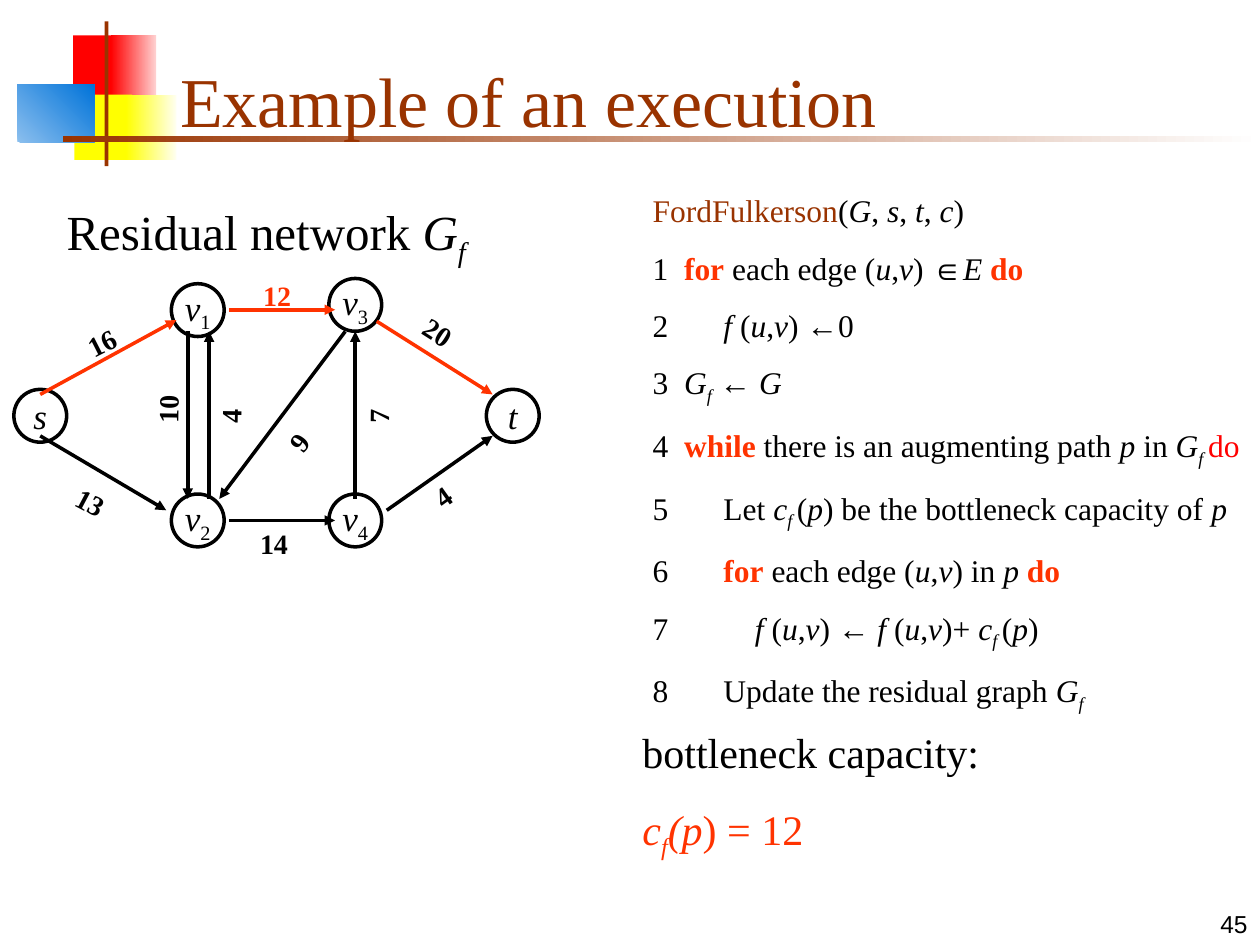
import pptx
import pptx.dml.color
import pptx.enum.shapes
import pptx.enum.text
import pptx.oxml
import pptx.oxml.ns
import pptx.util

Pt = pptx.util.Pt
SHAPE = pptx.enum.shapes.MSO_SHAPE
ALIGN = pptx.enum.text.PP_ALIGN
ANCHOR = pptx.enum.text.MSO_ANCHOR

COLORS = {"black": "000000", "white": "FFFFFF", "brown": "993300", "orange": "FF3300",
          "red": "FF0000", "pink": "FFD1D1", "yellow": "FFFF00", "cream": "FFFFF0",
          "sky": "8BBFEE", "blue": "0073D9"}
SERIF = "Times New Roman"

# left, top, width, height, colours (two make a gradient), gradient angle
DECORATION = [
    (41.8, 20.2, 25.2, 37.4, ["red"], 0),
    (63.4, 20.2, 25.9, 37.4, ["red", "pink"], 0),
    (42.5, 54, 33.1, 37.4, ["yellow"], 0),
    (72, 54, 28.8, 37.4, ["yellow", "cream"], 0),
    (10, 48.2, 44, 33.1, ["sky", "blue"], 45),
    (59.8, 12.2, 2.2, 82.8, ["brown"], 0),
    (36, 77.8, 684, 3.6, ["brown", "white"], 0),
]

# name, subscript, centre
NODE_SIZE = 30.2
NODES = [("s", "", 23, 237.6), ("t", "", 293, 237.6),
         ("v", "1", 113, 177.2), ("v", "2", 113, 297.4),
         ("v", "3", 203, 174.2), ("v", "4", 203, 297.4)]

# capacity, start, end, label centre, label rotation, line colour, label colour
EDGES = [
    ("12", (131, 177), (191.5, 177), (170.3, 168.8), 0, "orange", "orange"),
    ("14", (131, 297.4), (191.5, 297.4), (168.5, 310.7), 0, "black", "black"),
    ("16", (23, 225.4), (100.8, 182.9), (68.8, 190.4), 333.1, "orange", "black"),
    ("13", (23, 249.1), (95, 291.6), (62.3, 292.7), 27.9, "black", "black"),
    ("10", (107.3, 189.4), (107.3, 285.1), (96.1, 222.1), 270.9, "black", "black"),
    ("4", (119.5, 285.1), (119.5, 189.4), (132.1, 222.1), 270.9, "black", "black"),
    ("7", (203, 285.1), (203, 189.4), (216.4, 222.1), 270.9, "black", "black"),
    ("9", (197.3, 189.4), (125.3, 285.1), (180.4, 240.1), 307.4, "black", "black"),
    ("20", (215.3, 183.6), (281.5, 225.4), (260.3, 196.2), 32.5, "orange", "black"),
    ("4", (221, 291.6), (281.5, 249.1), (266, 274.7), 324.6, "black", "black"),
]
LABEL_W, LABEL_H = 54, 26.6

# run style: colour, bold, italic, subscript
STYLES = {
    "plain": ("black", False, False, False),
    "var": ("black", False, True, False),
    "sub": ("black", False, True, True),
    "index": ("black", False, False, True),
    "key": ("orange", True, False, False),
    "name": ("brown", False, False, False),
    "red": ("red", False, False, False),
    "bold": ("black", True, False, False),
    "result": ("orange", False, False, False),
    "result var": ("orange", False, True, False),
    "result sub": ("orange", False, True, True),
}


def plain(text):
    return (text, "plain")


def var(text):
    return (text, "var")


EDGE = [plain("("), var("u"), plain(","), var("v"), plain(")")]
FLOW = [var("f "), *EDGE]
GRAPH = [var("G"), ("f", "sub")]
PATH_CAPACITY = [var("c"), ("f ", "sub"), plain("("), var("p"), plain(")")]

HEADER = [("FordFulkerson", "name"), plain("("), var("G"), plain(", "), var("s"),
          plain(", "), var("t"), plain(", "), var("c"), plain(")")]
# nesting depth, runs; lines are numbered from 1
STEPS = [
    (0, [("for", "key"), plain(" each edge "), *EDGE, plain(" ∈"), var("E "), ("do", "key")]),
    (1, [*FLOW, plain(" ←0")]),
    (0, [*GRAPH, plain(" ← "), var("G")]),
    (0, [("while", "key"), plain(" there is an augmenting path "), var("p"), plain(" in "),
         var("G"), ("f ", "sub"), ("do", "red")]),
    (1, [plain("Let "), *PATH_CAPACITY, plain(" be the bottleneck capacity of "), var("p")]),
    (1, [("for", "key"), plain(" each edge "), *EDGE, plain(" in "), var("p "), ("do", "key")]),
    (2, [*FLOW, plain(" ← "), *FLOW, plain("+ "), *PATH_CAPACITY]),
    (1, [plain("Update the residual graph "), *GRAPH]),
]
DEPTH_TABS = [18, 40.5, 58.5]
BOTTLENECK = [
    [("bottleneck capacity:", "result")],
    [("c", "result var"), ("f", "result sub"), ("(p", "result var"), (") = 12", "result")],
]
BOTTLENECK[0] = [plain("bottleneck capacity:")]


def rgb(name):
    return pptx.dml.color.RGBColor.from_string(COLORS[name])


def write(s, paragraphs, size, font=SERIF, before=0, align=None, anchor=ANCHOR.TOP, wrap=True):
    """Fill a shape with paragraphs, each a list of (text, style) runs."""
    tf = s.text_frame
    tf.word_wrap = wrap
    tf.vertical_anchor = anchor
    for i, runs in enumerate(paragraphs):
        p = tf.add_paragraph() if i else tf.paragraphs[0]
        p.alignment = align
        if i:
            p.space_before = Pt(before)
        for text, style in runs:
            color, bold, italic, subscript = STYLES[style]
            r = p.add_run()
            r.text = text
            r.font.name, r.font.size = font, Pt(size)
            r.font.bold, r.font.italic = bold, italic
            r.font.color.rgb = rgb(color)
            if subscript:
                r.font._element.set("baseline", "-25000")
    return tf


def add_text(slide, box, paragraphs, size, **options):
    s = slide.shapes.add_textbox(*map(Pt, box))
    write(s, paragraphs, size, **options)
    return s


def add_filled(slide, kind, box, colors, angle=0):
    s = slide.shapes.add_shape(kind, *map(Pt, box))
    s.shadow.inherit = False
    s.line.fill.background()
    if len(colors) == 1:
        s.fill.solid()
        s.fill.fore_color.rgb = rgb(colors[0])
    else:
        s.fill.gradient()
        s.fill.gradient_angle = angle
        for stop, color in zip(s.fill.gradient_stops, colors):
            stop.color.rgb = rgb(color)
    return s


def add_arrow(slide, start, end, color):
    s = slide.shapes.add_connector(pptx.enum.shapes.MSO_CONNECTOR.STRAIGHT,
                                   *map(Pt, start + end))
    s.line.width = Pt(2)
    s.line.color.rgb = rgb(color)
    pptx.oxml.ns.qn("a:tailEnd")
    ns = pptx.oxml.ns.nsdecls("a")
    s.line._get_or_add_ln().append(pptx.oxml.parse_xml(f'<a:tailEnd {ns} type="triangle"/>'))
    s._element.spPr.append(pptx.oxml.parse_xml(f"<a:effectLst {ns}/>"))


def set_tab(p, position):
    ns = pptx.oxml.ns.nsdecls("a")
    p._p.get_or_add_pPr().append(pptx.oxml.parse_xml(
        f'<a:tabLst {ns}><a:tab pos="{Pt(position)}" algn="l"/></a:tabLst>'))


def main():
    prs = pptx.Presentation()
    prs.slide_width, prs.slide_height = Pt(720), Pt(540)
    slide = prs.slides.add_slide(prs.slide_layouts[6])

    for *box, colors, angle in DECORATION:
        add_filled(slide, SHAPE.RECTANGLE, box, colors, angle)
    add_text(slide, (570, 504, 150, 36), [[plain("45")]], 14, font="Arial",
             align=ALIGN.RIGHT, anchor=ANCHOR.BOTTOM)

    for name, index, x, y in NODES:
        box = (x - NODE_SIZE / 2, y - NODE_SIZE / 2, NODE_SIZE, NODE_SIZE)
        s = add_filled(slide, SHAPE.OVAL, box, ["white"])
        s.line.color.rgb = rgb("black")
        s.line.width = Pt(2)
        runs = [var(name)] + ([(index, "index")] if index else [])
        write(s, [runs], 20, align=ALIGN.CENTER, anchor=ANCHOR.MIDDLE, wrap=False)
    for _, start, end, _, _, color, _ in EDGES:
        add_arrow(slide, start, end, color)
    for capacity, _, _, (x, y), rotation, _, color in EDGES:
        box = (x - LABEL_W / 2, y - LABEL_H / 2, LABEL_W, LABEL_H)
        style = "key" if color == "orange" else "bold"
        add_text(slide, box, [[(capacity, style)]], 16).rotation = rotation

    add_text(slide, (95.8, 18, 613.4, 66.2), [[("Example of an execution", "name")]], 40,
             anchor=ANCHOR.BOTTOM)
    add_text(slide, (31, 111.6, 244, 45.4), [[plain("Residual network "), *GRAPH]], 28)

    lines = [[plain(f"{n}\t"), *runs] for n, (_, runs) in enumerate(STEPS, 1)]
    s = add_text(slide, (365.8, 105.8, 354.2, 306.7), [HEADER, *lines], 18, before=11.2)
    for p, (depth, _) in zip(s.text_frame.paragraphs[1:], STEPS):
        set_tab(p, DEPTH_TABS[depth])
    add_text(slide, (360, 411.8, 228.2, 84.2), BOTTLENECK, 24, before=15)

    prs.save("out.pptx")


if __name__ == "__main__":
    main()
